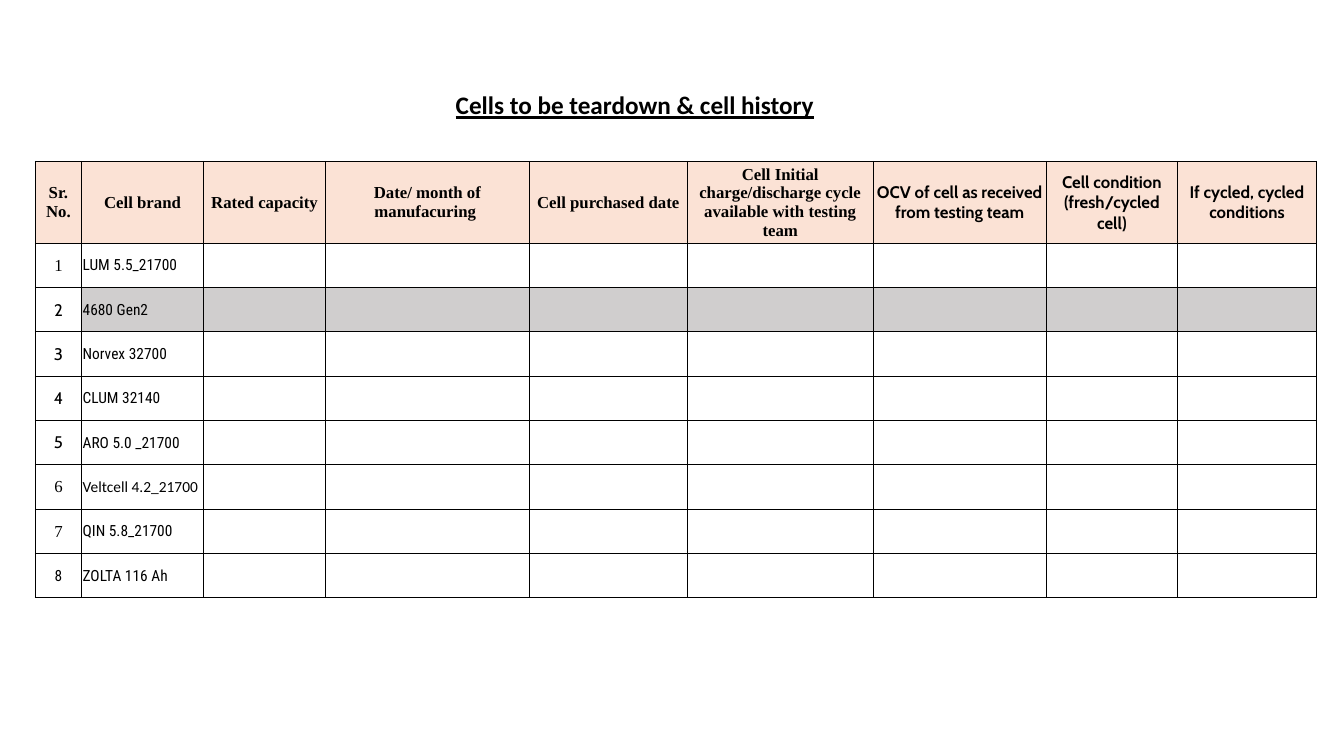
from lxml.etree import SubElement
from pptx import Presentation
from pptx.dml.color import RGBColor
from pptx.enum.text import MSO_ANCHOR, MSO_AUTO_SIZE, PP_ALIGN
from pptx.oxml.ns import qn
from pptx.util import Inches, Pt

BLACK = RGBColor(0x00, 0x00, 0x00)
PEACH = RGBColor(0xFB, 0xE2, 0xD5)
GREY = RGBColor(0xD0, 0xCE, 0xCE)

SERIF = "Times New Roman"
CABIN = "Cabin"
ROBOTO = "Roboto Condensed"
CALIBRI = "Calibri"

COLUMNS = [
    ("Sr. No.", 0.46, SERIF),
    ("Cell brand", 1.21, SERIF),
    ("Rated capacity", 1.21, SERIF),
    ("Date/ month of manufacuring ", 2.02, SERIF),
    ("Cell purchased date", 1.57, SERIF),
    ("Cell Initial charge/discharge cycle available with testing team", 1.84, SERIF),
    ("OCV of cell as received from testing team", 1.72, CABIN),
    ("Cell condition (fresh/cycled cell)", 1.3, CABIN),
    ("If cycled, cycled conditions", 1.38, CABIN),
]
CELLS = [
    ("LUM 5.5_21700", SERIF, 12, ROBOTO),
    ("4680 Gen2", CABIN, 12, ROBOTO),
    ("Norvex 32700", CABIN, 12, ROBOTO),
    ("CLUM 32140", CABIN, 12, ROBOTO),
    ("ARO 5.0 _21700", CABIN, 12, ROBOTO),
    ("Veltcell 4.2_21700", SERIF, 12, CALIBRI),
    ("QIN 5.8_21700", SERIF, 12, ROBOTO),
    ("ZOLTA 116 Ah", ROBOTO, 11, ROBOTO),
]
GREY_ROW = 2
HEADER_HEIGHT = 0.72
ROW_HEIGHT = 0.44


def set_font(p, name, size, bold=False):
    p.font.name = name
    p.font.size = Pt(size)
    p.font.bold = bold
    p.font.color.rgb = BLACK


def add_title(slide, text):
    sp = slide.shapes.title
    sp.left, sp.top = Inches(4.42), Inches(0.84)
    sp.width, sp.height = Inches(4.74), Inches(0.4)
    tf = sp.text_frame
    tf.text = text
    tf.auto_size = MSO_AUTO_SIZE.SHAPE_TO_FIT_TEXT
    tf.vertical_anchor = MSO_ANCHOR.TOP
    p = tf.paragraphs[0]
    p.alignment = PP_ALIGN.LEFT
    set_font(p, CALIBRI, 18, True)
    p.font.underline = True


def add_borders(cell):
    tc_pr = cell._tc.get_or_add_tcPr()
    for side in ("lnL", "lnR", "lnT", "lnB"):
        ln = SubElement(tc_pr, qn(f"a:{side}"), w=str(Pt(0.5)))
        fill = SubElement(ln, qn("a:solidFill"))
        SubElement(fill, qn("a:srgbClr"), val=str(BLACK))


def format_cell(cell, color):
    add_borders(cell)
    cell.vertical_anchor = MSO_ANCHOR.MIDDLE
    cell.margin_left = cell.margin_right = cell.margin_top = Inches(0.01)
    cell.margin_bottom = 0
    if color is None:
        cell.fill.background()
    else:
        cell.fill.solid()
        cell.fill.fore_color.rgb = color


def write_cell(cell, text, font, size, bold=False, align=PP_ALIGN.CENTER):
    cell.text = text
    p = cell.text_frame.paragraphs[0]
    p.alignment = align
    set_font(p, font, size, bold)


def cell_color(row, col):
    if row == 0:
        return PEACH
    return GREY if row == GREY_ROW and col > 0 else None


def add_history_table(slide):
    n_rows, n_cols = len(CELLS) + 1, len(COLUMNS)
    width = sum(w for _, w, _ in COLUMNS)
    height = HEADER_HEIGHT + ROW_HEIGHT * len(CELLS)
    table = slide.shapes.add_table(
        n_rows, n_cols, Inches(0.35), Inches(1.6), Inches(width), Inches(height)
    ).table
    table.first_row = table.horz_banding = False
    for r, row in enumerate(table.rows):
        row.height = Inches(ROW_HEIGHT if r else HEADER_HEIGHT)
        for c, cell in enumerate(row.cells):
            format_cell(cell, cell_color(r, c))
    for c, (heading, col_width, font) in enumerate(COLUMNS):
        table.columns[c].width = Inches(col_width)
        write_cell(table.cell(0, c), heading, font, 12, bold=True)
    for r, (brand, number_font, number_size, brand_font) in enumerate(CELLS, 1):
        write_cell(table.cell(r, 0), str(r), number_font, number_size)
        write_cell(table.cell(r, 1), brand, brand_font, 11, align=PP_ALIGN.LEFT)


def main():
    prs = Presentation()
    prs.slide_width, prs.slide_height = Inches(13.33), Inches(7.5)
    slide = prs.slides.add_slide(prs.slide_layouts[5])
    add_title(slide, "Cells to be teardown & cell history")
    add_history_table(slide)
    prs.save("out.pptx")


if __name__ == "__main__":
    main()
